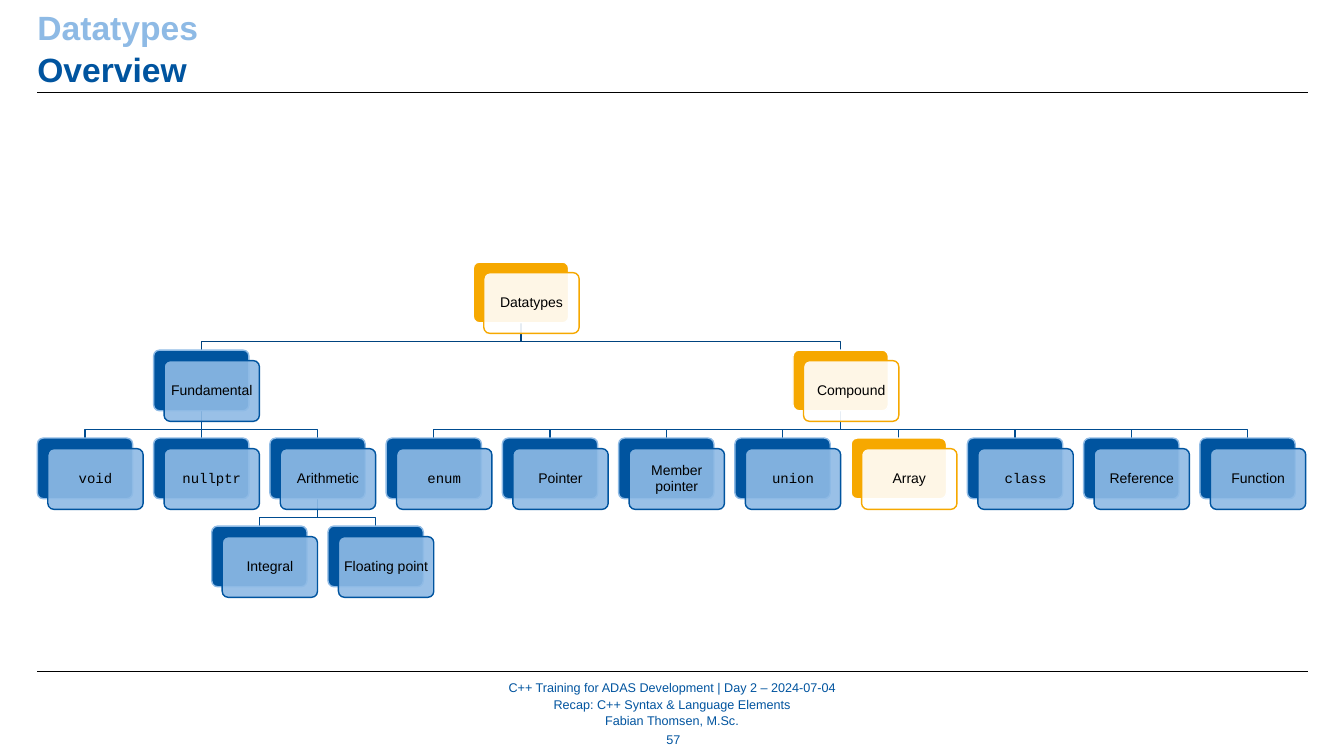
"""Build the overview slide with the tree of C++ datatypes."""
from dataclasses import dataclass

from lxml.etree import SubElement
from pptx import Presentation
from pptx.dml.color import RGBColor
from pptx.enum.shapes import MSO_CONNECTOR as Connector, MSO_SHAPE as Preset
from pptx.enum.text import MSO_ANCHOR as Anchor, PP_ALIGN as Align
from pptx.oxml.ns import qn
from pptx.util import Inches, Pt

COLORS = {
    "blue": "00549F", "light": "8EBAE5", "root_link": "00437F", "link": "004C90",
    "amber": "F6A800", "white": "FFFFFF", "black": "000000",
}
SLIDE_WIDTH, SLIDE_HEIGHT = Inches(13.33), Inches(7.5)
MARGIN, CONTENT_WIDTH = 2.78, 94.52
TREE_TOP, COLUMN, ROW = 34.67, 8.65, 11.64
CARD_WIDTH, CARD_HEIGHT = 0.82, 0.69
SHIFT_X, SHIFT_Y = 0.09, 0.12
ELBOW = 0.9


@dataclass(frozen=True)
class Node:
    label: str
    column: float
    row: int
    parent: str = ""
    font: str = "Arial"
    highlight: bool = False


@dataclass(frozen=True)
class Line:
    text: str
    color: str = "blue"


@dataclass(frozen=True)
class TextBlock:
    left: float
    top: float
    width: float
    height: float
    lines: tuple[Line, ...]
    size: int
    bold: bool = False
    align: Align = Align.CENTER
    anchor: Anchor = Anchor.MIDDLE
    spacing: float = 1.0


LEAVES = (
    ("void", "Fundamental", True), ("nullptr", "Fundamental", True),
    ("Arithmetic", "Fundamental", False), ("enum", "Compound", True),
    ("Pointer", "Compound", False), ("Member pointer", "Compound", False),
    ("union", "Compound", True), ("Array", "Compound", False),
    ("class", "Compound", True), ("Reference", "Compound", False),
    ("Function", "Compound", False),
)
NODES = (
    Node("Datatypes", 3.75, 0, highlight=True),
    Node("Fundamental", 1, 1, "Datatypes"),
    Node("Compound", 6.5, 1, "Datatypes", highlight=True),
    *(Node(label, column, 2, parent, "Courier New" if code else "Arial", label == "Array")
      for column, (label, parent, code) in enumerate(LEAVES)),
    Node("Integral", 1.5, 3, "Arithmetic"),
    Node("Floating point", 2.5, 3, "Arithmetic"),
)
TEXT_BLOCKS = (
    TextBlock(MARGIN, 0.67, CONTENT_WIDTH, 10.8,
              (Line("Datatypes", "light"), Line("Overview")),
              24, True, Align.LEFT, Anchor.TOP, 1.04),
    TextBlock(25.73, 90, 48.54, 6.13,
              (Line("C++ Training for ADAS Development | Day 2 – 2024-07-04"),
               Line("Recap: C++ Syntax & Language Elements"),
               Line("Fabian Thomsen, M.Sc.")), 9, spacing=1.07),
    TextBlock(48.16, 96.13, 3.9, 3.47, (Line("57"),), 9),
)
RULES = (12.27, 88.8)


def across(percent: float) -> int:
    return round(SLIDE_WIDTH * percent / 100)


def down(percent: float) -> int:
    return round(SLIDE_HEIGHT * percent / 100)


def tree_x(column: float) -> int:
    return across(MARGIN + column * COLUMN)


def tree_y(row: float) -> int:
    return down(TREE_TOP + row * ROW)


def color(name: str) -> RGBColor:
    return RGBColor.from_string(COLORS[name])


def set_frame(frame, inset: float, anchor: Anchor) -> None:
    frame.word_wrap = True
    frame.vertical_anchor = anchor
    frame.margin_left = frame.margin_right = Inches(inset)
    frame.margin_top = frame.margin_bottom = Inches(inset)


def add_run(paragraph, text: str, font: str, size: int, tint: str, bold: bool = False) -> None:
    run = paragraph.add_run()
    run.text = text
    run.font.name, run.font.size, run.font.bold = font, Pt(size), bold
    run.font.color.rgb = color(tint)


def add_text_block(slide, block: TextBlock) -> None:
    box = slide.shapes.add_textbox(across(block.left), down(block.top),
                                   across(block.width), down(block.height))
    frame = box.text_frame
    set_frame(frame, 0, block.anchor)
    for index, line in enumerate(block.lines):
        paragraph = frame.add_paragraph() if index else frame.paragraphs[0]
        paragraph.alignment, paragraph.line_spacing = block.align, block.spacing
        add_run(paragraph, line.text, "Arial", block.size, line.color, block.bold)


def add_line(slide, start: tuple[int, int], end: tuple[int, int], tint: str, width: float) -> None:
    line = slide.shapes.add_connector(Connector.STRAIGHT, *start, *end)
    line.line.color.rgb, line.line.width = color(tint), Pt(width)
    SubElement(line._element.spPr, qn("a:effectLst"))


def add_link(slide, parent: Node, child: Node) -> None:
    start_x, end_x = (tree_x(node.column + CARD_WIDTH / 2) for node in (parent, child))
    start = (start_x, tree_y(parent.row + CARD_HEIGHT))
    end = (end_x, tree_y(child.row))
    tint = "link" if parent.parent else "root_link"
    if start_x == end_x:
        add_line(slide, start, end, tint, 1)
        return
    bend = tree_y(parent.row + ELBOW)
    builder = slide.shapes.build_freeform(*start)
    builder.add_line_segments(((start_x, bend), (end_x, bend), end), close=False)
    shape = builder.convert_to_shape()
    shape.shadow.inherit = False
    shape.fill.background()
    shape.line.color.rgb, shape.line.width = color(tint), Pt(1)


def add_card(slide, column: float, row: float, fill: str, outline: str):
    shape = slide.shapes.add_shape(Preset.ROUNDED_RECTANGLE, tree_x(column), tree_y(row),
                                   across(CARD_WIDTH * COLUMN), down(CARD_HEIGHT * ROW))
    shape.adjustments[0] = 0.1
    shape.shadow.inherit = False
    shape.fill.solid()
    shape.fill.fore_color.rgb = color(fill)
    shape.line.color.rgb, shape.line.width = color(outline), Pt(1)
    return shape


def add_node(slide, node: Node) -> None:
    back, front = ("amber", "white") if node.highlight else ("blue", "light")
    add_card(slide, node.column, node.row, back, front)
    card = add_card(slide, node.column + SHIFT_X, node.row + SHIFT_Y, front, back)
    fill_color = card._element.spPr.find(qn("a:solidFill"))[0]
    SubElement(fill_color, qn("a:alpha"), val="90000")
    set_frame(card.text_frame, 0.04, Anchor.MIDDLE)
    paragraph = card.text_frame.paragraphs[0]
    paragraph.alignment, paragraph.line_spacing = Align.CENTER, 0.9
    add_run(paragraph, node.label, node.font, 10, "black")


def main() -> None:
    presentation = Presentation()
    presentation.slide_width, presentation.slide_height = SLIDE_WIDTH, SLIDE_HEIGHT
    slide = presentation.slides.add_slide(presentation.slide_layouts[6])
    for block in TEXT_BLOCKS:
        add_text_block(slide, block)
    for height in RULES:
        add_line(slide, (across(MARGIN), down(height)),
                 (across(MARGIN + CONTENT_WIDTH), down(height)), "black", 0.5)
    by_label = {node.label: node for node in NODES}
    for node in NODES:
        if node.parent:
            add_link(slide, by_label[node.parent], node)
    for node in NODES:
        add_node(slide, node)
    presentation.save("out.pptx")


if __name__ == "__main__":
    main()
